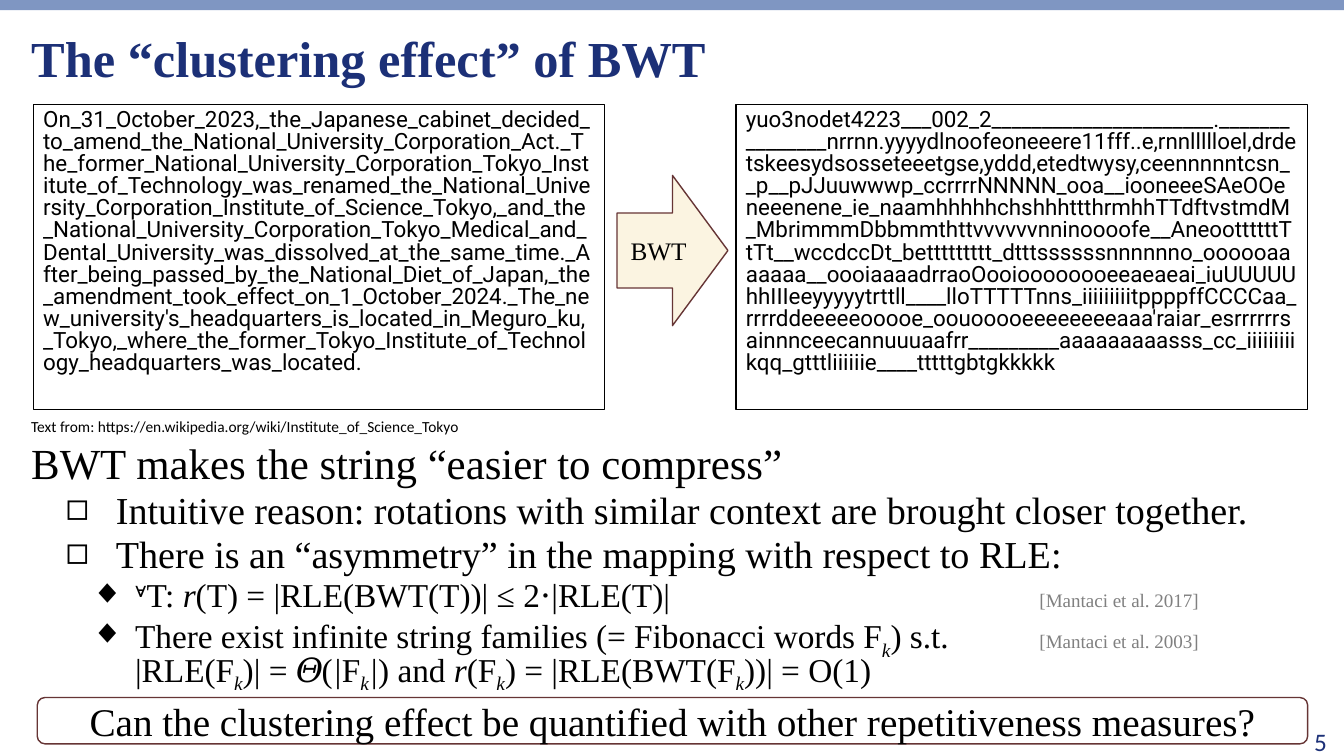
"""Build the slide on the clustering effect of the BWT."""
from lxml.etree import SubElement
from pptx import Presentation
from pptx.dml.color import RGBColor
from pptx.enum.shapes import MSO_SHAPE as Shape
from pptx.enum.text import MSO_ANCHOR as Anchor, MSO_AUTO_SIZE as AutoSize, PP_ALIGN as Align
from pptx.oxml.ns import qn
from pptx.util import Inches, Pt

TITLE = "The “clustering effect” of BWT"
SOURCE = "Text from: https://en.wikipedia.org/wiki/Institute_of_Science_Tokyo"
QUESTION = "Can the clustering effect be quantified with other repetitiveness measures?"
STRINGS = [
    "On_31_October_2023,_the_Japanese_cabinet_decided_"
    "to_amend_the_National_University_Corporation_Act._T"
    "he_former_National_University_Corporation_Tokyo_Inst"
    "itute_of_Technology_was_renamed_the_National_Unive"
    "rsity_Corporation_Institute_of_Science_Tokyo,_and_the"
    "_National_University_Corporation_Tokyo_Medical_and_"
    "Dental_University_was_dissolved_at_the_same_time._A"
    "fter_being_passed_by_the_National_Diet_of_Japan,_the"
    "_amendment_took_effect_on_1_October_2024._The_ne"
    "w_university's_headquarters_is_located_in_Meguro_ku,"
    "_Tokyo,_where_the_former_Tokyo_Institute_of_Technol"
    "ogy_headquarters_was_located.",
    "yuo3nodet4223___002_2______________________._______"
    "________nrrnn.yyyydlnoofeoneeere11fff..e,rnnllllloel,drde"
    "tskeesydsosseteeetgse,yddd,etedtwysy,ceennnnntcsn_"
    "_p__pJJuuwwwp_ccrrrrNNNNN_ooa__iooneeeSAeOOe"
    "neeenene_ie_naamhhhhhchshhhttthrmhhTTdftvstmdM"
    "_MbrimmmDbbmmthttvvvvvvnninoooofe__AneoottttttT"
    "tTt__wccdccDt_bettttttttt_dtttssssssnnnnnno_oooooaa"
    "aaaaa__oooiaaaadrraoOooioooooooeeaeaeai_iuUUUUU"
    "hhIIIeeyyyyytrttll____lloTTTTTnns_iiiiiiiiitppppffCCCCaa_"
    "rrrrddeeeeeooooe_oouooooeeeeeeeeaaa'raiar_esrrrrrrs"
    "ainnnceecannuuuaafrr_________aaaaaaaaasss_cc_iiiiiiiii"
    "kqq_gtttliiiiiie____tttttgbtgkkkkk",
]
K = ("k", "sub")
BODY = [
    (0, ["BWT makes the string “easier to compress”"]),
    (1, ["Intuitive reason: rotations with similar context are brought closer together."]),
    (1, ["There is an “asymmetry” in the mapping with respect to RLE:"]),
    (2, [("∀", "sup"), "T: ", ("r", "italic"), "(T) = |RLE(BWT(T))| ≤ 2⋅|RLE(T)|\t",
         ("[Mantaci et al. 2017]", "cite")]),
    (2, ["There exist infinite string families (= Fibonacci words F", K, ") s.t.\t",
         ("[Mantaci et al. 2003]", "cite"), "\n",
         "|RLE(F", K, ")| = 𝛩(", ("|", "italic"), "F", K, ("|", "italic"), ") and ",
         ("r", "italic"), "(F", K, ") = |RLE(BWT(F", K, "))| = O(1)"]),
]

THEME = {
    "navy": "1C3077", "bar": "7F96C2", "black": "000000", "gray": "808080",
    "cream": "FBF4E1", "maroon": "663535", "white": "FFFFFF",
    "serif": "Times New Roman", "sans": "Calibri", "string": "Roboto",
    "title": 36, "question": 28, "label": 18, "string_size": 16, "cite": 13.6, "source": 11,
}
LEVELS = [
    {"size": 30.6, "left": 0, "hang": 0, "before": 0, "bullet": None},
    {"size": 27.2, "left": 0.84, "hang": 0.5, "before": 6, "bullet": "◻"},
    {"size": 23.8, "left": 1.03, "hang": 0.44, "before": 5, "bullet": "◆"},
]
BASELINES = {"sub": "-25000", "sup": "30000"}
CITE_TAB = 10
MARGIN, WIDTH = 0.21, 12.76
PANEL_TOP, PANEL_WIDTH, PANEL_HEIGHT = 1.04, 5.67, 3.02
PANEL_LEFTS = (0.33, 7.3)


def apply(target, values):
    for name, value in values.items():
        setattr(target, name, value)


def place(box, left, top, width, height):
    apply(box, {"left": Inches(left), "top": Inches(top),
                "width": Inches(width), "height": Inches(height)})


def color(name):
    return RGBColor.from_string(THEME[name])


def style(span, size, face="serif", ink="black", **extra):
    apply(span.font, {"size": Pt(size), "name": THEME[face], **extra})
    span.font.color.rgb = color(ink)


def write(box, text, size, face="serif", ink="black", align=Align.LEFT,
          anchor=Anchor.TOP, spacing=None, **extra):
    apply(box.text_frame, {"word_wrap": True, "auto_size": AutoSize.NONE,
                           "vertical_anchor": anchor})
    para = box.text_frame.paragraphs[0]
    apply(para, {"alignment": align, "line_spacing": spacing})
    span = para.add_run()
    span.text = text
    style(span, size, face, ink, **extra)


def add_box(page, kind, area, fill=None, line=None, weight=1):
    box = page.shapes.add_shape(kind, *map(Inches, area))
    box.shadow.inherit = False
    if fill:
        box.fill.solid()
        box.fill.fore_color.rgb = color(fill)
    else:
        box.fill.background()
    if line:
        box.line.color.rgb = color(line)
        box.line.width = Pt(weight)
    else:
        box.line.fill.background()
    return box


def format_para(para, level, look):
    props = para._p.get_or_add_pPr()
    props.set("marL", str(Inches(look["left"])))
    props.set("indent", str(-Inches(look["hang"])))
    if look["bullet"]:
        SubElement(props, qn("a:buChar")).set("char", look["bullet"])
    else:
        SubElement(props, qn("a:buNone"))
    if level == 2:
        stop = SubElement(SubElement(props, qn("a:tabLst")), qn("a:tab"))
        stop.set("pos", str(Inches(CITE_TAB)))
        stop.set("algn", "l")
    apply(para, {"level": level, "line_spacing": 0.73,
                 "space_before": Pt(look["before"]), "space_after": Pt(1.5)})


def fill_body(body):
    frame = body.text_frame
    apply(frame, {"word_wrap": True, "auto_size": AutoSize.NONE, "vertical_anchor": Anchor.TOP})
    for index, (level, parts) in enumerate(BODY):
        para = frame.add_paragraph() if index else frame.paragraphs[0]
        look = LEVELS[level]
        format_para(para, level, look)
        for part in parts:
            text, role = (part, "plain") if isinstance(part, str) else part
            if text == "\n":
                para.add_line_break()
                continue
            span = para.add_run()
            span.text = text
            if role == "cite":
                style(span, THEME["cite"], ink="gray")
            else:
                style(span, look["size"], italic=role in ("italic", "sub"))
            if role in BASELINES:
                span._r.get_or_add_rPr().set("baseline", BASELINES[role])


def main():
    deck = Presentation()
    apply(deck, {"slide_width": Inches(13.33), "slide_height": Inches(7.5)})
    page = deck.slides.add_slide(deck.slide_layouts[1])
    title, body = page.placeholders
    add_box(page, Shape.RECTANGLE, (0, 0, 13.33, 0.1), "bar")

    place(title, MARGIN, 0.33, WIDTH, 0.56)
    write(title, TITLE, THEME["title"], ink="navy", anchor=Anchor.MIDDLE, spacing=0.9, bold=True)
    place(body, MARGIN, 4.41, WIDTH, 2.61)
    fill_body(body)

    for left, text in zip(PANEL_LEFTS, STRINGS):
        panel = add_box(page, Shape.RECTANGLE, (left, PANEL_TOP, PANEL_WIDTH, PANEL_HEIGHT),
                        line="black", weight=0.75)
        write(panel, text, THEME["string_size"], "string", spacing=Pt(15.8))

    centered = {"align": Align.CENTER, "anchor": Anchor.MIDDLE}
    arrow = add_box(page, Shape.RIGHT_ARROW, (6.12, 1.74, 1.1, 1.49), "cream", "maroon")
    write(arrow, "BWT", THEME["label"], **centered)
    question = add_box(page, Shape.ROUNDED_RECTANGLE, (0.37, 6.92, 12.6, 0.46), "white", "maroon")
    write(question, QUESTION, THEME["question"], **centered)

    source = page.shapes.add_textbox(*map(Inches, (MARGIN, 4.09, PANEL_WIDTH, 0.29)))
    write(source, SOURCE, THEME["source"], "sans")
    number = page.shapes.add_textbox(*map(Inches, (12.55, 7.22, 0.71, 0.27)))
    write(number, "5", THEME["label"], "sans", "navy", Align.RIGHT, Anchor.MIDDLE)
    deck.save("out.pptx")


if __name__ == "__main__":
    main()
